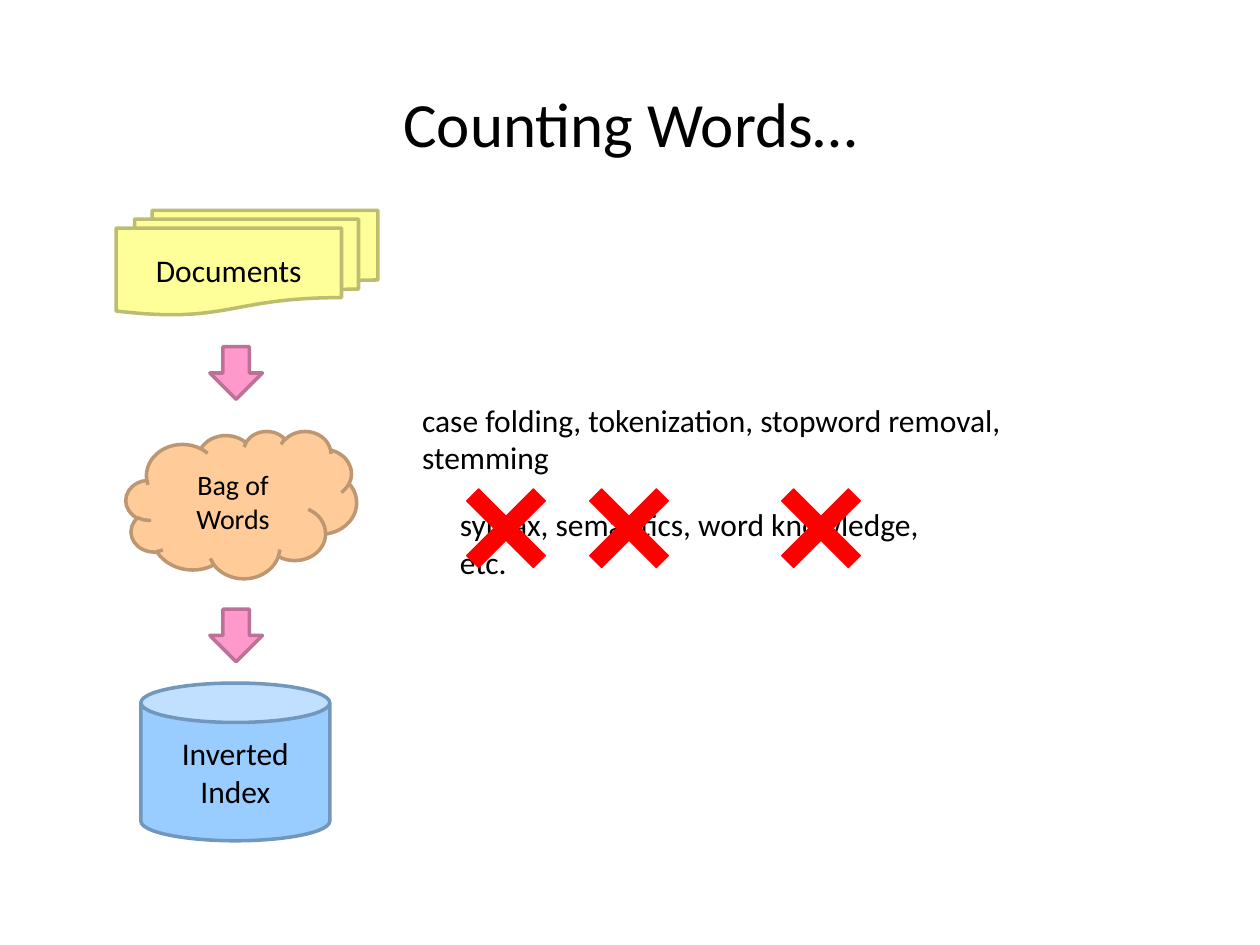
"""Build the "Counting Words…" slide: documents to bag of words to inverted index."""
from pptx import Presentation
from pptx import util as u
from pptx.dml.color import RGBColor
from pptx.enum import shapes, text

COLORS = {
    "text": "000000",
    "documents": "FFFF99", "documents_line": "BDBD71",
    "index": "99CCFF", "index_line": "7197BD",
    "words": "FFCC99", "words_line": "BD9771",
    "arrow": "FF99CC", "arrow_line": "BD7197",
    "cross": "FF0000", "cross_line": "FF0000",
}


def write(shape, content, size=18, align=text.PP_ALIGN.CENTER,
          anchor=text.MSO_ANCHOR.MIDDLE, wrap=True, fit=text.MSO_AUTO_SIZE.NONE):
    frame = shape.text_frame
    frame.text = content
    frame.word_wrap = wrap
    frame.auto_size = fit
    frame.vertical_anchor = anchor
    for paragraph in frame.paragraphs:
        paragraph.alignment = align
        paragraph.font.name = "Calibri"
        paragraph.font.size = u.Pt(size)
        paragraph.font.color.rgb = RGBColor.from_string(COLORS["text"])


def draw(kind, color, left, top, width, height, line_width=2, rotation=0):
    shape = slide.shapes.add_shape(kind, u.Cm(left), u.Cm(top), u.Cm(width), u.Cm(height))
    shape.shadow.inherit = False
    shape.rotation = rotation
    shape.fill.solid()
    shape.fill.fore_color.rgb = RGBColor.from_string(COLORS[color])
    shape.line.color.rgb = RGBColor.from_string(COLORS[color + "_line"])
    shape.line.width = u.Pt(line_width)
    return shape


presentation = Presentation()
presentation.slide_width = u.Cm(25.4)
presentation.slide_height = u.Cm(19.05)
slide = presentation.slides.add_slide(presentation.slide_layouts[5])
preset = shapes.MSO_SHAPE

title = slide.shapes.title
title.left, title.top, title.width, title.height = u.Cm(0), u.Cm(1.52), u.Cm(25.4), u.Cm(1.91)
write(title, "Counting Words…", size=36)

documents = draw(preset.FLOWCHART_MULTIDOCUMENT, "documents", 2.34, 4.24, 5.28, 2.11)
write(documents, "Documents", wrap=False)

index = draw(preset.CAN, "index", 2.84, 13.77, 3.81, 3.18)
index.adjustments[0] = 0.25
write(index, "Inverted\nIndex", wrap=False)

words = draw(preset.CLOUD, "words", 2.54, 8.69, 4.65, 2.97)
write(words, "Bag of Words", size=16)

for top in (6.99, 12.28):
    draw(preset.RIGHT_ARROW, "arrow", 4.23, top, 1.06, 1.06, rotation=90)

for content, left, top, width in (
    ("case folding, tokenization, stopword removal, stemming", 8.26, 7.95, 14.73),
    ("syntax, semantics, word knowledge, etc.", 9.02, 10.06, 10.77),
):
    label = slide.shapes.add_textbox(u.Cm(left), u.Cm(top), u.Cm(width), u.Cm(1.02))
    write(label, content, align=text.PP_ALIGN.LEFT, anchor=text.MSO_ANCHOR.TOP,
          fit=text.MSO_AUTO_SIZE.SHAPE_TO_FIT_TEXT)

for left in (9.25, 11.73, 15.6):
    cross = draw(preset.CROSS, "cross", left, 9.7, 1.9, 1.9, line_width=0.75, rotation=45)
    cross.adjustments[0] = 0.41

presentation.save("out.pptx")
